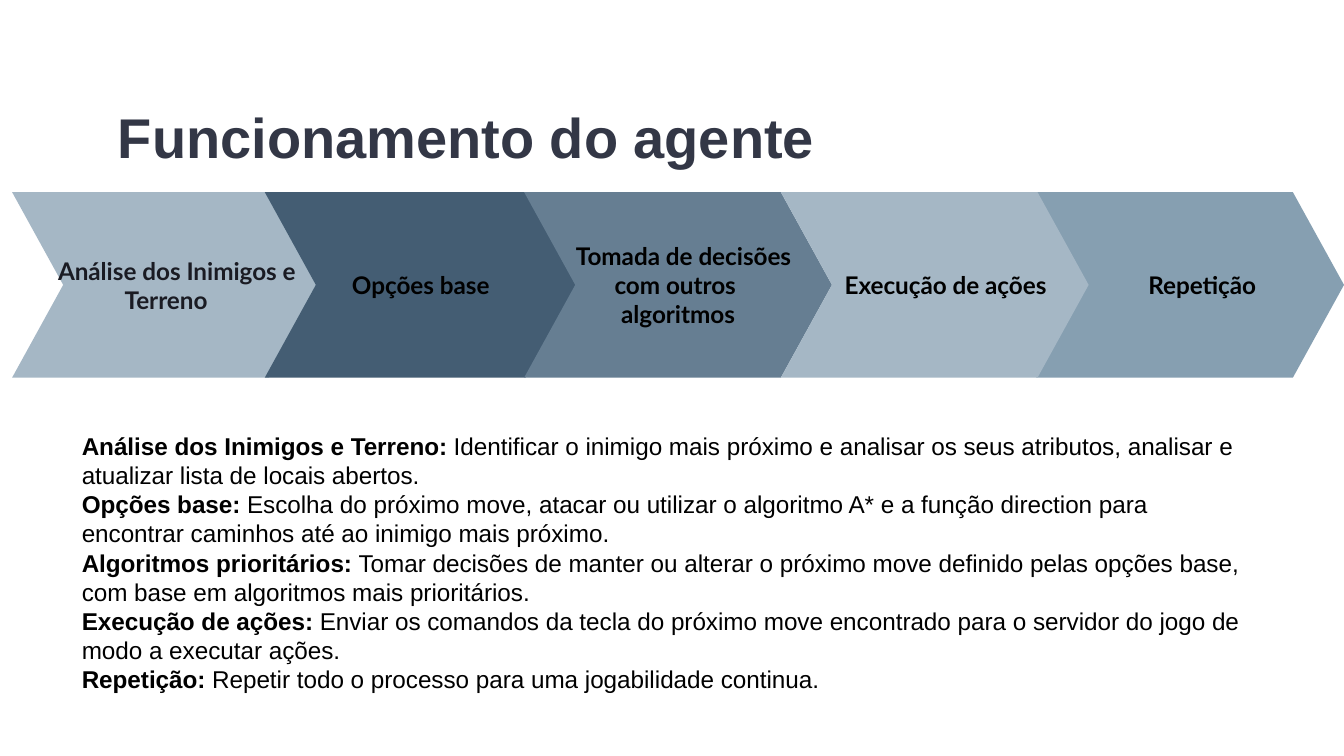
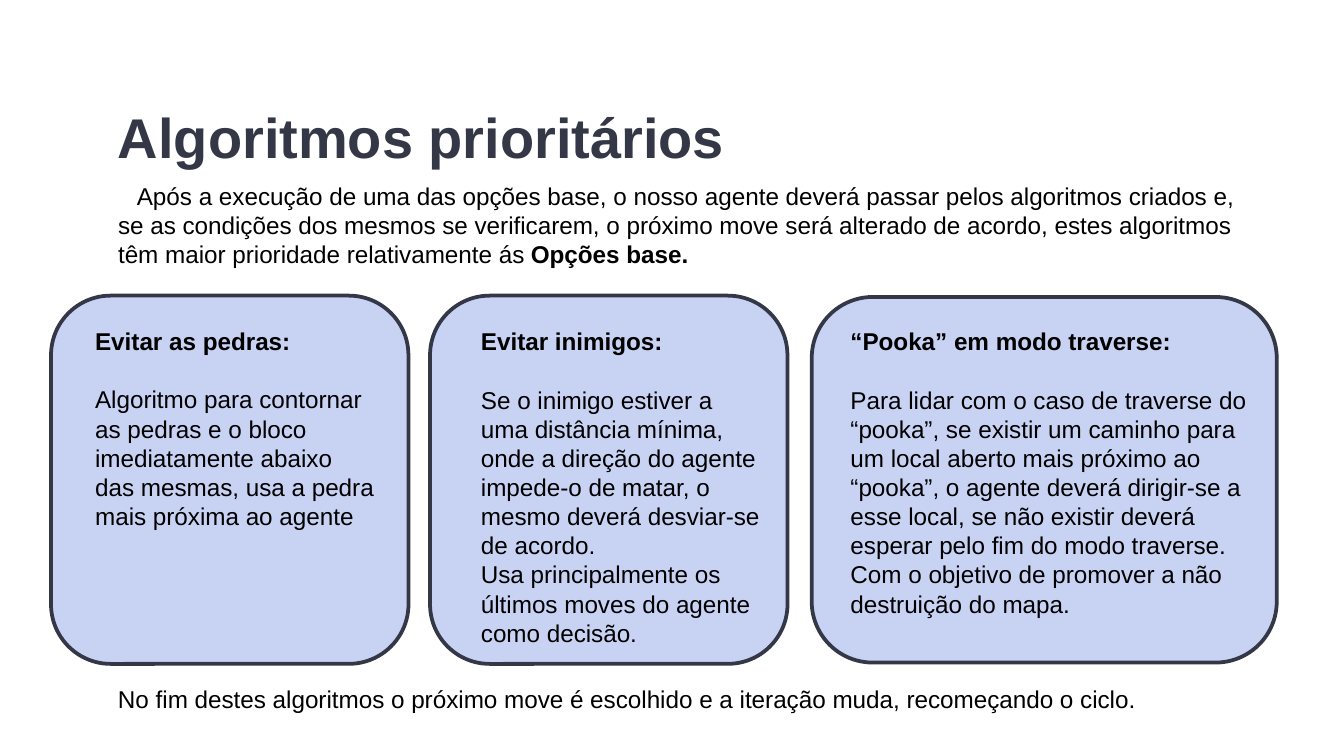
import pptx
import pptx.dml.color
import pptx.enum.shapes
import pptx.enum.text
import pptx.util

Inches = pptx.util.Inches
Anchor = pptx.enum.text.MSO_ANCHOR
INK = "333746"
BLACK = "000000"
CARD_FILL = "C8D3F4"
BODY_SIZE = 13

STEPS = [
    (0.09, 2.29, "A5B7C5", "1A1B23", 0.16, ["Análise dos Inimigos e Terreno"]),
    (1.97, 2.32, "445D73", BLACK, 0, ["Opções base"]),
    (3.9, 2.29, "667E92", BLACK, 0.08, ["Tomada de decisões", "com outros ", "algoritmos"]),
    (7.71, 2.29, "869FB1", BLACK, 0.18, ["Repetição"]),
    (5.81, 2.29, "A5B7C5", BLACK, 0.16, ["Execução de ações"]),
]

STEP_NOTES = [
    ("Análise dos Inimigos e Terreno:", "Identificar o inimigo mais próximo e analisar os seus atributos, "
     "analisar e atualizar lista de locais abertos."),
    ("Opções base:", "Escolha do próximo move, atacar ou utilizar o algoritmo A* e a função direction "
     "para encontrar caminhos até ao inimigo mais próximo."),
    ("Algoritmos prioritários:", "Tomar decisões de manter ou alterar o próximo move definido pelas "
     "opções base, com base em algoritmos mais prioritários."),
    ("Execução de ações:", "Enviar os comandos da tecla do próximo move encontrado para o servidor do "
     "jogo de modo a executar ações."),
    ("Repetição:", "Repetir todo o processo para uma jogabilidade continua."),
]

INTRO = ("Após a execução de uma das opções base, o nosso agente deverá passar pelos algoritmos criados e, "
         "se as condições dos mesmos se verificarem, o próximo move será alterado de acordo, estes "
         "algoritmos têm maior prioridade relativamente ás ")

CARDS = [
    ((6.04, 2.21, 3.46, 2.72), (6.23, 2.38, 3.16, 2.51), "“Pooka” em modo traverse:", [
        "Para lidar com o caso de traverse do “pooka”, se existir um caminho para um local aberto mais "
        "próximo ao “pooka”, o agente deverá dirigir-se a esse local, se não existir deverá esperar pelo "
        "fim do modo traverse.",
        "Com o objetivo de promover a não destruição do mapa."]),
    ((3.2, 2.2, 2.66, 2.74), (3.48, 2.38, 2.31, 2.51), "Evitar inimigos:", [
        "Se o inimigo estiver a uma distância mínima, onde a direção do agente impede-o de matar, o mesmo "
        "deverá desviar-se de acordo.",
        "Usa principalmente os últimos moves do agente como decisão."]),
    ((0.38, 2.2, 2.66, 2.74), (0.61, 2.38, 2.27, 2.07), "Evitar as pedras:", [
        "Algoritmo para contornar as pedras e o bloco imediatamente abaixo das mesmas, usa a pedra mais "
        "próxima ao agente"]),
]


def color(value):
    return pptx.dml.color.RGBColor.from_string(value)


def add_text(paragraph, text, font="Arial", size=BODY_SIZE, ink=BLACK, bold=False):
    run = paragraph.add_run()
    run.text = text
    run.font.name = font
    run.font.size = pptx.util.Pt(size)
    run.font.bold = bold
    run.font.color.rgb = color(ink)


def next_paragraph(frame, index, indent=0):
    paragraph = frame.add_paragraph() if index else frame.paragraphs[0]
    if indent and index == 0:
        properties = paragraph._p.get_or_add_pPr()
        properties.set("marL", "0")
        properties.set("indent", str(Inches(indent)))
    return paragraph


class Deck:
    """Hold the shared style and the current slide."""

    def __init__(self):
        self.presentation = pptx.Presentation()
        self.presentation.slide_width = Inches(10)
        self.presentation.slide_height = Inches(10) * 9 // 16
        self.slide = None

    def start(self, title):
        self.slide = self.presentation.slides.add_slide(self.presentation.slide_layouts[6])
        frame = self.box((0.78, 0.59, 8.44, 0.77))
        frame.margin_top = frame.margin_bottom = Inches(0.1)
        frame.vertical_anchor = Anchor.BOTTOM
        paragraph = next_paragraph(frame, 0)
        paragraph.line_spacing = 1.15
        add_text(paragraph, title, size=30, ink=INK, bold=True)

    def box(self, area):
        frame = self.slide.shapes.add_textbox(*map(Inches, area)).text_frame
        frame.word_wrap = True
        return frame

    def body(self, area, paragraphs, indent=0, heading_gap=0):
        frame = self.box(area)
        frame.auto_size = pptx.enum.text.MSO_AUTO_SIZE.SHAPE_TO_FIT_TEXT
        for index, runs in enumerate(paragraphs):
            paragraph = next_paragraph(frame, index, indent)
            for text, bold in runs:
                add_text(paragraph, text, bold=bold)
        if heading_gap:
            frame.paragraphs[0].space_after = pptx.util.Pt(heading_gap)

    def chevron(self, left, width, fill, ink, indent, lines):
        top, height, point = 1.43, 1.38, 0.38
        right, middle, bottom = left + width, top + height / 2, top + height
        outline = [(left, top), (left + point, middle), (left, bottom),
                   (right - point, bottom), (right, middle), (right - point, top)]
        corners = [(Inches(x), Inches(y)) for x, y in outline]
        builder = self.slide.shapes.build_freeform(*corners[0])
        builder.add_line_segments(corners[1:], close=True)
        shape = builder.convert_to_shape()
        shape.shadow.inherit = False
        shape.fill.solid()
        shape.fill.fore_color.rgb = color(fill)
        shape.line.fill.background()
        frame = shape.text_frame
        frame.word_wrap = True
        frame.vertical_anchor = Anchor.MIDDLE
        frame.margin_left = frame.margin_right = Inches(0.1)
        frame.margin_top = frame.margin_bottom = Inches(0.1)
        for index, line in enumerate(lines):
            paragraph = next_paragraph(frame, index, indent)
            paragraph.alignment = pptx.enum.text.PP_ALIGN.CENTER
            add_text(paragraph, line, font="Lato", ink=ink, bold=True)

    def card(self, area):
        kind = pptx.enum.shapes.MSO_SHAPE.ROUNDED_RECTANGLE
        shape = self.slide.shapes.add_shape(kind, *map(Inches, area))
        shape.shadow.inherit = False
        shape.fill.solid()
        shape.fill.fore_color.rgb = color(CARD_FILL)
        shape.line.color.rgb = color(INK)
        shape.line.width = pptx.util.Pt(2)


def main():
    deck = Deck()

    deck.start("Funcionamento do agente")
    for step in STEPS:
        deck.chevron(*step)
    deck.body((0.51, 3.16, 8.81, 2.07),
              [[(f"{name} ", True), (note, False)] for name, note in STEP_NOTES])

    deck.start("Algoritmos prioritários")
    for card_area, *_ in CARDS:
        deck.card(card_area)
    deck.body((0.78, 1.3, 8.61, 0.76), [[(INTRO, False), ("Opções base.", True)]], indent=0.14)
    for _, text_area, heading, lines in reversed(CARDS):
        deck.body(text_area, [[(heading, True)]] + [[(line, False)] for line in lines], heading_gap=15.6)
    deck.body((0.78, 5.04, 9.04, 0.32), [[
        ("No fim destes algoritmos o próximo move é escolhido e a iteração muda, recomeçando o ciclo.", False)]])

    deck.presentation.save("out.pptx")


if __name__ == "__main__":
    main()
